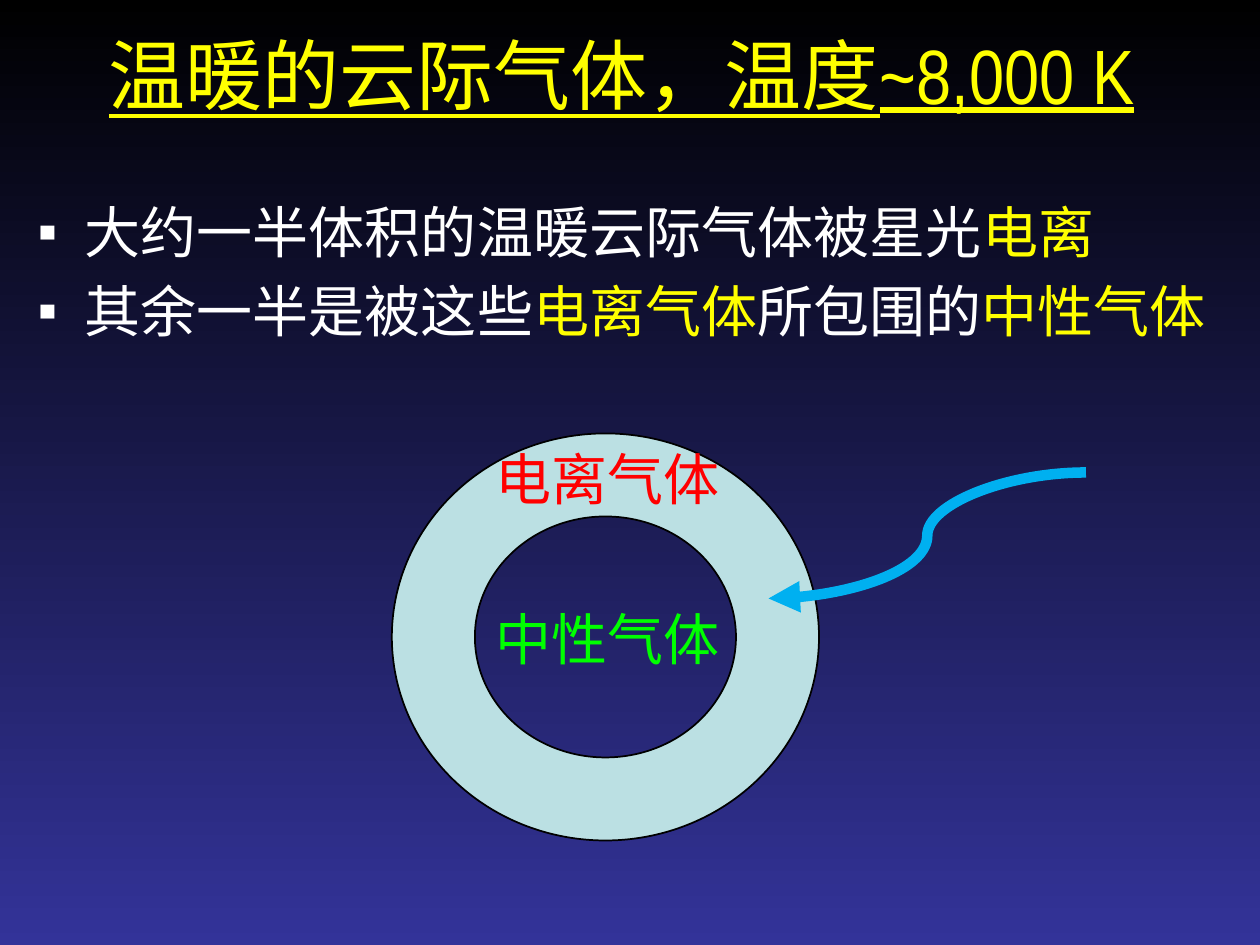
"""Build a slide on warm intercloud gas: two bullets and a ring diagram."""
from lxml import etree
from pptx import Presentation
from pptx.dml.color import RGBColor
from pptx.enum import shapes, text
from pptx.oxml import ns
from pptx.util import Pt

WHITE, YELLOW, RED, GREEN = "FFFFFF", "FFFF00", "FF0000", "00FF00"
BLACK, PALE, BLUE = "000000", "BBE0E3", "00B0F0"
BACKGROUND = [(0, BLACK), (1, "333399")]

TITLE = [[("温暖的云际气体，温度~8,000 K", YELLOW)]]
BULLETS = [
    [("大约一半体积的温暖云际气体被星光", WHITE), ("电离", YELLOW)],
    [("其余一半是被这些", WHITE), ("电离气体", YELLOW),
     ("所包围的", WHITE), ("中性气体", YELLOW)],
]
LABELS = [
    ("电离气体", RED, "Noto Sans CJK SC", 250.5),
    ("中性气体", GREEN, "Noto Sans CJK JP", 342),
]
RING = (223.9, 247.7, 244.1, 232.6)
ARROW = (620.6, 270, 439.2, 342)
INDENT = 27


def color(value):
    return RGBColor.from_string(value)


def add_xml(parent, tag, **attrs):
    return etree.SubElement(parent, ns.qn(tag), attrs)


def add_text(s, box, paragraphs, bullet=None, align=None, anchor="TOP", **font):
    tf = s.shapes.add_textbox(*map(Pt, box)).text_frame
    tf.word_wrap = True
    tf.vertical_anchor = getattr(text.MSO_ANCHOR, anchor)
    for i, runs in enumerate(paragraphs):
        p = tf.add_paragraph() if i else tf.paragraphs[0]
        p.alignment = align
        if bullet:
            pPr = p._p.get_or_add_pPr()
            pPr.set("marL", str(Pt(INDENT)))
            pPr.set("indent", str(-Pt(INDENT)))
            add_xml(pPr, "a:buFont", typeface="Arial")
            add_xml(pPr, "a:buChar", char=bullet)
        if i:
            p.space_before = Pt(6.4)
        for words, value in runs:
            r = p.add_run()
            r.text = words
            r.font.color.rgb = color(value)
            for name, setting in font.items():
                setattr(r.font, name, setting)


def add_ring(s):
    sp = s.shapes.add_shape(shapes.MSO_SHAPE.DONUT, *map(Pt, RING))
    sp.shadow.inherit = False
    sp.adjustments[0] = 0.204
    sp.fill.solid()
    sp.fill.fore_color.rgb = color(PALE)
    sp.line.color.rgb = color(BLACK)
    sp.line.width = Pt(1)


def add_arrow(s):
    arrow = s.shapes.add_connector(shapes.MSO_CONNECTOR.CURVE, *map(Pt, ARROW))
    arrow.line.color.rgb = color(BLUE)
    arrow.line.width = Pt(6)
    add_xml(arrow.line._get_or_add_ln(), "a:tailEnd", type="triangle")
    add_xml(arrow._element.spPr, "a:effectLst")


def main():
    prs = Presentation()
    prs.slide_width, prs.slide_height = Pt(720), Pt(540)
    s = prs.slides.add_slide(prs.slide_layouts[6])
    fill = s.background.fill
    fill.gradient()
    fill.gradient_angle = 270
    for stop, (position, value) in zip(fill.gradient_stops, BACKGROUND):
        stop.position = position
        stop.color.rgb = color(value)

    add_text(s, (19.4, 15.1, 671.8, 54), TITLE, align=text.PP_ALIGN.CENTER,
             anchor="MIDDLE", size=Pt(44), name="Arial Narrow", underline=True)
    add_text(s, (14.4, 109.4, 689.8, 103.7), BULLETS, bullet="▪",
             size=Pt(32), name="Arial")
    add_ring(s)
    for words, value, face, top in LABELS:
        add_text(s, (275.8, top, 152, 46), [[(words, value)]],
                 size=Pt(32), name=face)
    add_arrow(s)
    prs.save("out.pptx")


if __name__ == "__main__":
    main()
